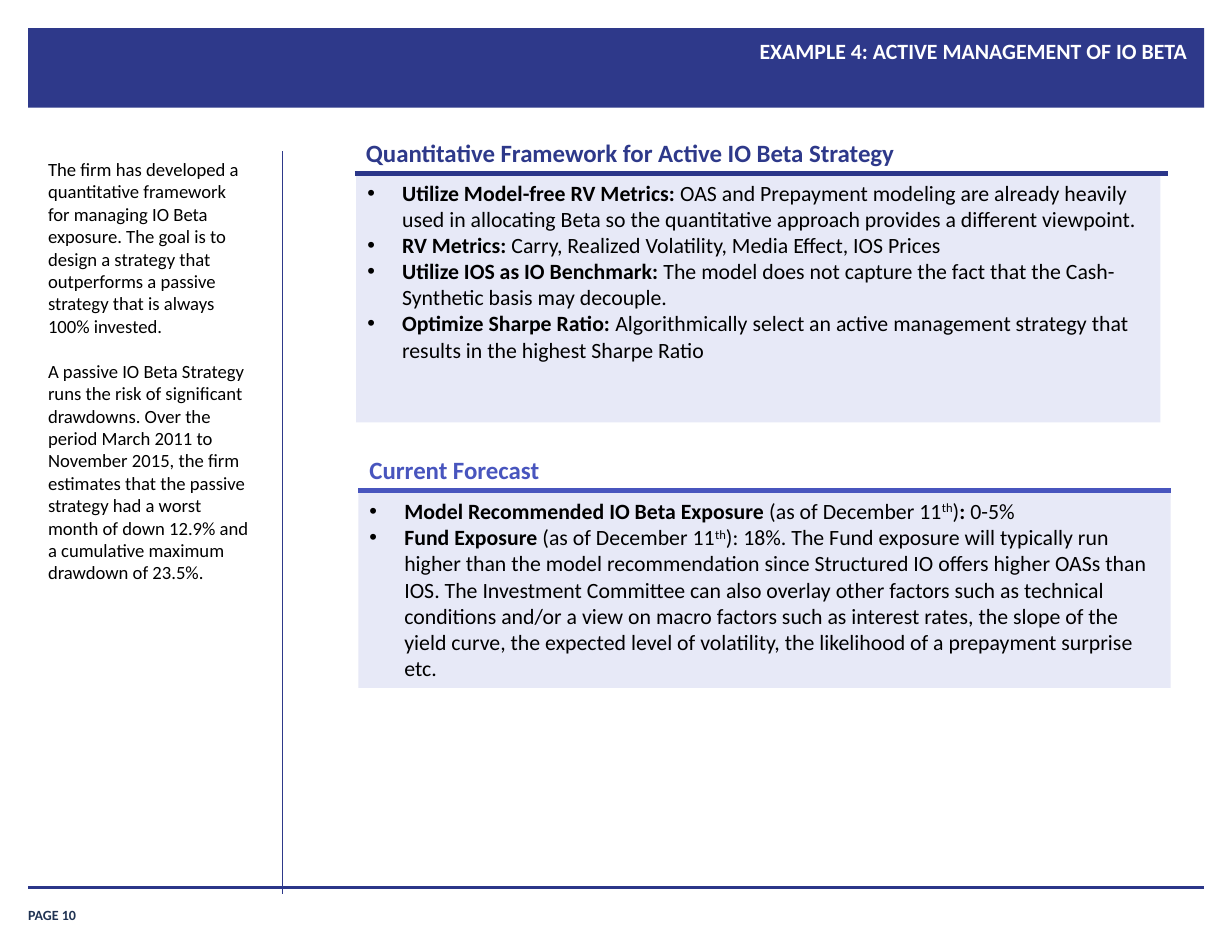
from dataclasses import dataclass
from typing import NamedTuple, Optional

from lxml import etree
from pptx import Presentation
from pptx.dml.color import RGBColor
from pptx.enum.shapes import MSO_CONNECTOR, MSO_SHAPE
from pptx.enum.text import MSO_ANCHOR, PP_ALIGN
from pptx.oxml.ns import qn
from pptx.util import Cm, Pt

RECT = MSO_SHAPE.RECTANGLE
STRAIGHT = MSO_CONNECTOR.STRAIGHT
TOP, MIDDLE, BOTTOM = MSO_ANCHOR.TOP, MSO_ANCHOR.MIDDLE, MSO_ANCHOR.BOTTOM
LEFT, RIGHT = PP_ALIGN.LEFT, PP_ALIGN.RIGHT


@dataclass(frozen=True)
class Theme:
    font: str = "Calibri"
    navy: str = "2E398A"
    rule: str = "2B3689"
    violet: str = "4855BE"
    panel: str = "E7E9F7"
    footer: str = "203353"
    white: str = "FFFFFF"
    black: str = "000000"
    heading_pt: int = 16
    body_pt: int = 14
    side_pt: int = 12
    footer_pt: int = 9


THEME = Theme()


class Box(NamedTuple):
    x: float
    y: float
    w: float
    h: float


class Span(NamedTuple):
    text: str
    bold: bool = False
    raised: bool = False


@dataclass(frozen=True)
class Section:
    heading: str
    heading_color: str
    rule_color: str
    panel: Box
    rule_x: float
    rule_w: float
    bullets: list[list[Span]]
    body: Optional[Box] = None


AS_OF = [Span("(as of December 11"), Span("th", raised=True)]

SIDEBAR = [
    "The firm has developed a quantitative framework for managing IO Beta exposure. "
    "The goal is to design a strategy that outperforms a passive strategy that is "
    "always 100% invested.",
    "A passive IO Beta Strategy runs the risk of significant drawdowns. Over the "
    "period March 2011 to November 2015, the firm estimates that the passive strategy "
    "had a worst month of down 12.9% and a cumulative maximum drawdown of 23.5%.",
]

SECTIONS = [
    Section(
        "Quantitative Framework for Active IO Beta Strategy",
        THEME.navy, THEME.rule, Box(8.08, 3.94, 18.24, 5.64), 8.05, 18.44,
        [
            [Span("Utilize Model-free RV Metrics: ", True),
             Span("OAS and Prepayment modeling are already heavily used in allocating "
                  "Beta so the quantitative approach provides a different viewpoint.")],
            [Span("RV Metrics: ", True),
             Span("Carry, Realized Volatility, Media Effect, IOS Prices")],
            [Span("Utilize IOS as IO Benchmark: ", True),
             Span("The model does not capture the fact that the Cash-Synthetic basis "
                  "may decouple.")],
            [Span("Optimize Sharpe Ratio: ", True),
             Span("Algorithmically select an active management strategy that results "
                  "in the highest Sharpe Ratio")],
        ],
        Box(8.08, 3.94, 18.01, 6.83),
    ),
    Section(
        "Current Forecast",
        THEME.violet, THEME.violet, Box(8.13, 11.13, 18.42, 4.47), 8.13, 18.42,
        [
            [Span("Model Recommended IO Beta Exposure ", True), *AS_OF,
             Span(")"), Span(": ", True), Span("0-5%")],
            [Span("Fund Exposure ", True), *AS_OF,
             Span("): 18%. The Fund exposure will typically run higher than the model "
                  "recommendation since Structured IO offers higher OASs than IOS. The "
                  "Investment Committee can also overlay other factors such as technical "
                  "conditions and/or a view on macro factors such as interest rates, the "
                  "slope of the yield curve, the expected level of volatility, the "
                  "likelihood of a prepayment surprise etc.")],
        ],
    ),
]


def style(font, size: float, color: str, bold: bool = False) -> None:
    font.name = THEME.font
    font.size = Pt(size)
    font.bold = bold
    font.color.rgb = RGBColor.from_string(color)


def frame(s, pad_x: float = 0.25, pad_y: float = 0.13, anchor=TOP):
    tf = s.text_frame
    tf.word_wrap = True
    tf.margin_left = tf.margin_right = Cm(pad_x)
    tf.margin_top = tf.margin_bottom = Cm(pad_y)
    tf.vertical_anchor = anchor
    return tf


def add_box(slide, box: Box):
    return slide.shapes.add_textbox(*map(Cm, box))


def add_rect(slide, box: Box, color: str):
    s = slide.shapes.add_shape(RECT, *map(Cm, box))
    s.shadow.inherit = False
    s.fill.solid()
    s.fill.fore_color.rgb = RGBColor.from_string(color)
    s.line.fill.background()
    return s


def add_line(slide, x1: float, y1: float, x2: float, y2: float,
             color: str, width: float) -> None:
    s = slide.shapes.add_connector(STRAIGHT, Cm(x1), Cm(y1), Cm(x2), Cm(y2))
    s.line.color.rgb = RGBColor.from_string(color)
    s.line.width = Pt(width)
    etree.SubElement(s._element.spPr, qn("a:effectLst"))


def add_text(slide, box: Box, text: str, size: float, color: str, bold: bool = True,
             pad_x: float = 0.25, pad_y: float = 0.13, anchor=TOP, align=LEFT,
             gap: float = 0) -> None:
    tf = frame(add_box(slide, box), pad_x, pad_y, anchor)
    tf.text = text
    for i, p in enumerate(tf.paragraphs):
        p.alignment = align
        if i:
            p.space_before = Pt(gap)
        for r in p.runs:
            style(r.font, size, color, bold)


def write_bullets(tf, bullets: list[list[Span]]) -> None:
    for i, spans in enumerate(bullets):
        p = tf.add_paragraph() if i else tf.paragraphs[0]
        p.alignment = LEFT
        pPr = p._p.get_or_add_pPr()
        pPr.set("marL", str(Cm(0.79)))
        pPr.set("indent", str(-Cm(0.79)))
        etree.SubElement(pPr, qn("a:buFont"), typeface="Arial")
        etree.SubElement(pPr, qn("a:buChar"), char="•")
        for span in spans:
            r = p.add_run()
            r.text = span.text
            style(r.font, THEME.body_pt, THEME.black, span.bold)
            if span.raised:
                r._r.get_or_add_rPr().set("baseline", "30000")


def add_section(slide, sec: Section) -> None:
    s = add_rect(slide, sec.panel, THEME.panel)
    y = sec.panel.y
    add_line(slide, sec.rule_x, y, sec.rule_x + sec.rule_w, y, sec.rule_color, 3)
    add_text(slide, Box(sec.rule_x, y - 0.95, sec.rule_w, 0.94), sec.heading,
             THEME.heading_pt, sec.heading_color)
    if sec.body:
        tf = frame(add_box(slide, sec.body))
    else:
        tf = frame(s, anchor=MIDDLE)
    write_bullets(tf, sec.bullets)


def main() -> None:
    prs = Presentation()
    prs.slide_width, prs.slide_height = Cm(27.94), Cm(21.59)
    slide = prs.slides.add_slide(prs.slide_layouts[6])

    add_rect(slide, Box(0.64, 0.64, 26.67, 1.8), THEME.navy)
    add_text(slide, Box(0.64, 20.37, 2.31, 0.58), "PAGE 10", THEME.footer_pt,
             THEME.footer, pad_x=0, pad_y=0, anchor=BOTTOM)
    add_line(slide, 0.64, 20.12, 27.31, 20.12, THEME.rule, 2)
    add_line(slide, 6.4, 3.43, 6.4, 20.27, THEME.navy, 0.5)
    add_text(slide, Box(6.99, 0.71, 20.22, 1.78),
             "EXAMPLE 4: ACTIVE MANAGEMENT OF IO BETA", THEME.body_pt, THEME.white,
             pad_x=0.28, pad_y=0.15, align=RIGHT)
    add_text(slide, Box(0.81, 3.43, 5.11, 16.46), "\n".join(SIDEBAR), THEME.side_pt,
             THEME.black, bold=False, pad_x=0.28, pad_y=0.15, gap=14.5)
    for sec in SECTIONS:
        add_section(slide, sec)

    prs.save("out.pptx")


if __name__ == "__main__":
    main()
